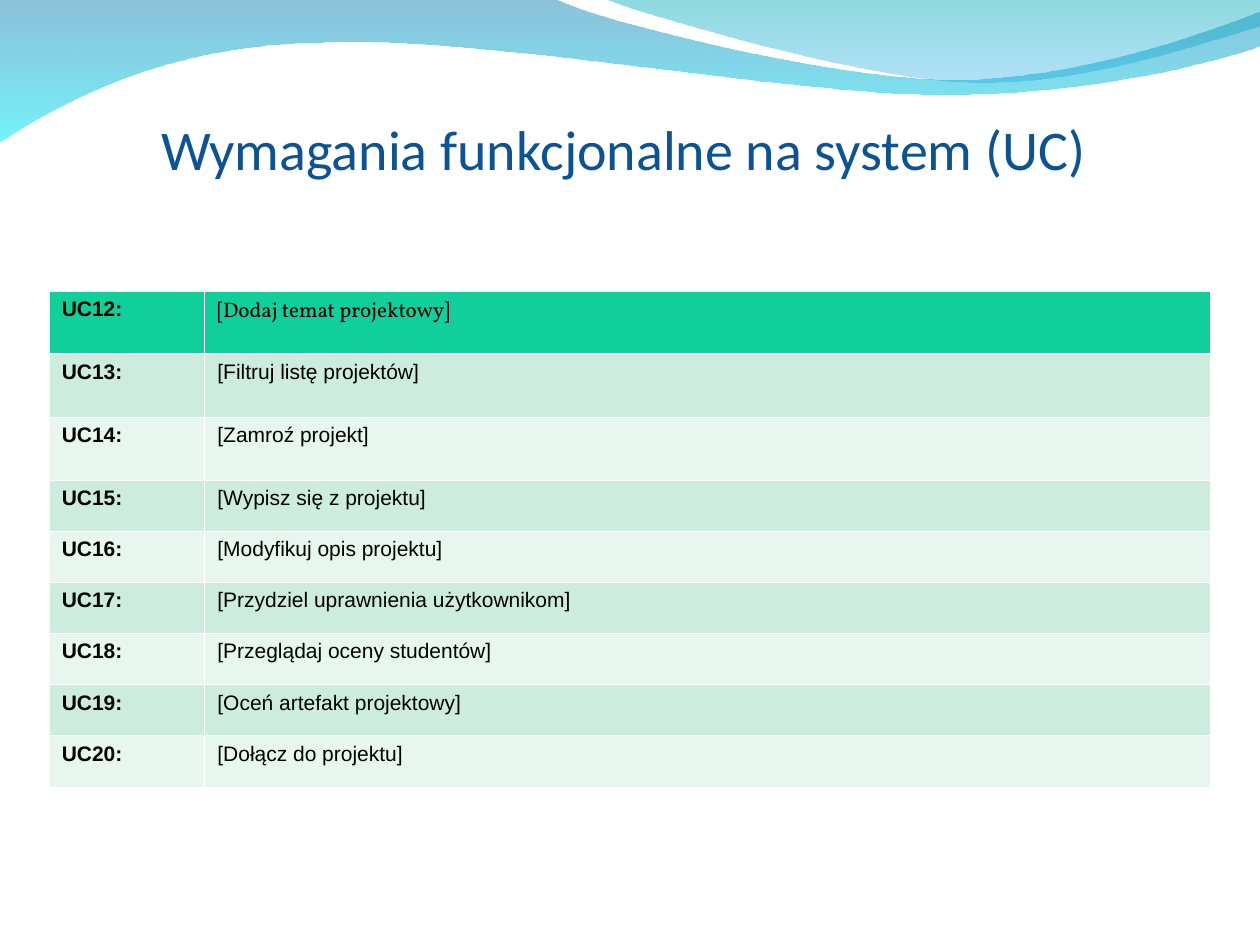
from lxml.etree import SubElement
from pptx import Presentation
from pptx.dml.color import RGBColor
from pptx.enum.text import MSO_ANCHOR, PP_ALIGN
from pptx.oxml.ns import qn
from pptx.util import Inches, Pt

WHITE, BLACK, NAVY, GREEN = "FFFFFF", "000000", "0B5395", "10CF9B"
BANDS = ("CCEDDE", "E7F6EF")
TITLE = "Wymagania funkcjonalne na system (UC)"
FIRST_CASE = 12
CASES = (
    "Dodaj temat projektowy",
    "Filtruj listę projektów",
    "Zamroź projekt",
    "Wypisz się z projektu",
    "Modyfikuj opis projektu",
    "Przydziel uprawnienia użytkownikom",
    "Przeglądaj oceny studentów",
    "Oceń artefakt projektowy",
    "Dołącz do projektu",
)
TALL_ROWS, TALL = 3, Inches(0.5)
LABEL_SHARE = 0.134

BACK_WAVE = (
    [(0, -0.01)],
    [(4.4, -0.01)],
    [(4.76, 0.17), (6.64, 0.63), (7.58, 0.63)],
    [(8.53, 0.63), (9.58, 0.26), (10, 0.09)],
    [(10.01, 0.36)],
    [(9.83, 0.44), (8.7, 0.76), (7.46, 0.75)],
    [(6.22, 0.75), (3.82, 0.28), (2.57, 0.34)],
    [(1.29, 0.35), (0.46, 0.83), (-0.01, 1.13)],
    [(0, -0.01)],
)
FRONT_WAVE = (
    [(4.79, -0.01)],
    [(5.09, 0.11), (6.82, 0.62), (7.69, 0.65)],
    [(8.56, 0.69), (9.61, 0.32), (10, 0.21)],
    [(10, 0)],
    [(4.79, -0.01)],
)


def rgb(value):
    """Turn a hex string into a colour."""
    return RGBColor.from_string(value)


def share(prs, left, top, width, height):
    """Return a box given as shares of the slide's size."""
    w, h = prs.slide_width, prs.slide_height
    return int(left * w), int(top * h), int(width * w), int(height * h)


def bend(sp, segments):
    """Join each run of three line points into one cubic curve."""
    nodes = list(sp._element.spPr.find(".//" + qn("a:path")))
    start = 0
    for segment in segments:
        group = nodes[start:start + len(segment)]
        start += len(segment)
        if len(group) == 3:
            curve = SubElement(group[0].getparent(), qn("a:cubicBezTo"))
            group[0].addprevious(curve)
            for node in group:
                curve.append(node[0])
                node.getparent().remove(node)


def add_wave(slide, box, segments, stops):
    """Draw a translucent wave on a grid ten columns wide."""
    left, top, width, _ = box
    unit = width / 10
    points = [(left + x * unit, top + y * unit) for segment in segments for x, y in segment]
    builder = slide.shapes.build_freeform(*points[0])
    builder.add_line_segments(points[1:], close=True)
    sp = builder.convert_to_shape()
    bend(sp, segments)
    sp.shadow.inherit = False
    sp.line.fill.background()
    sp.fill.gradient()
    sp.fill.gradient_angle = 270
    for stop, (color, _) in zip(sp.fill.gradient_stops, stops):
        stop.color.rgb = rgb(color)
    colors = sp._element.spPr.iter(qn("a:srgbClr"))
    for node, (_, opacity) in zip(colors, stops):
        SubElement(node, qn("a:alpha"), val=str(opacity * 1000))
    return sp


def add_header(slide, box):
    """Place both waves at the top of the slide master, behind the text."""
    waves = (
        (BACK_WAVE, (("0079AF", 45), ("00EBF8", 55))),
        (FRONT_WAVE, (("00ADB6", 45), ("009BE5", 30))),
    )
    master = slide.slide_layout.slide_master
    for i, (segments, stops) in enumerate(waves):
        sp = add_wave(slide, box, segments, stops)
        master.shapes._spTree.insert(2 + i, sp._element)


def format_text(tf, font, size, color, bold=False):
    """Format every run of a text frame."""
    for p in tf.paragraphs:
        for r in p.runs:
            r.font.name, r.font.size, r.font.bold = font, Pt(size), bold
            r.font.color.rgb = rgb(color)


def add_title(slide, box):
    """Fill the title placeholder and fit it to the box."""
    sp = slide.shapes.title
    sp.left, sp.top, sp.width, sp.height = box
    tf = sp.text_frame
    tf.text = TITLE
    tf.vertical_anchor = MSO_ANCHOR.MIDDLE
    tf.paragraphs[0].alignment = PP_ALIGN.CENTER
    format_text(tf, "Calibri", 32, NAVY)


def set_borders(cell, widths):
    """Give the left, right, top and bottom edges white lines."""
    tc_pr = cell._tc.get_or_add_tcPr()
    for side, width in zip("LRTB", widths):
        ln = SubElement(tc_pr, qn("a:ln" + side), w=str(Pt(width)))
        fill = SubElement(ln, qn("a:solidFill"))
        SubElement(fill, qn("a:srgbClr"), val=WHITE)


def add_case_table(slide, box):
    """Build the table of use cases with a green first row and banding."""
    left, top, width, height = box
    table = slide.shapes.add_table(len(CASES), 2, left, top, width, height).table
    table.first_row = table.horz_banding = False
    table.columns[0].width = int(width * LABEL_SHARE)
    table.columns[1].width = width - table.columns[0].width
    short = (height - TALL_ROWS * TALL) // (len(CASES) - TALL_ROWS)
    for i, case in enumerate(CASES):
        table.rows[i].height = TALL if i < TALL_ROWS else short
        above, below = (1.47 if i == 1 else 0.45), (1.47 if i == 0 else 0.45)
        for j, text in enumerate((f"UC{FIRST_CASE + i}:", f"[{case}]")):
            cell = table.cell(i, j)
            cell.text_frame.text = text
            font = "Vollkorn" if (i, j) == (0, 1) else "Arial"
            format_text(cell.text_frame, font, 12, BLACK, bold=j == 0)
            set_borders(cell, (0.45, 0.45, above, below))
            cell.fill.solid()
            cell.fill.fore_color.rgb = rgb(BANDS[(i - 1) % 2] if i else GREEN)


def main():
    """Build the slide and save it."""
    prs = Presentation()
    prs.slide_width, prs.slide_height = Inches(10), Inches(7.5)
    slide = prs.slides.add_slide(prs.slide_layouts[5])
    add_header(slide, share(prs, 0, 0, 1, 0.15))
    add_title(slide, share(prs, 0.07, 0.094, 0.85, 0.125))
    add_case_table(slide, share(prs, 0.039, 0.308, 0.922, 0.525))
    prs.save("out.pptx")


if __name__ == "__main__":
    main()
